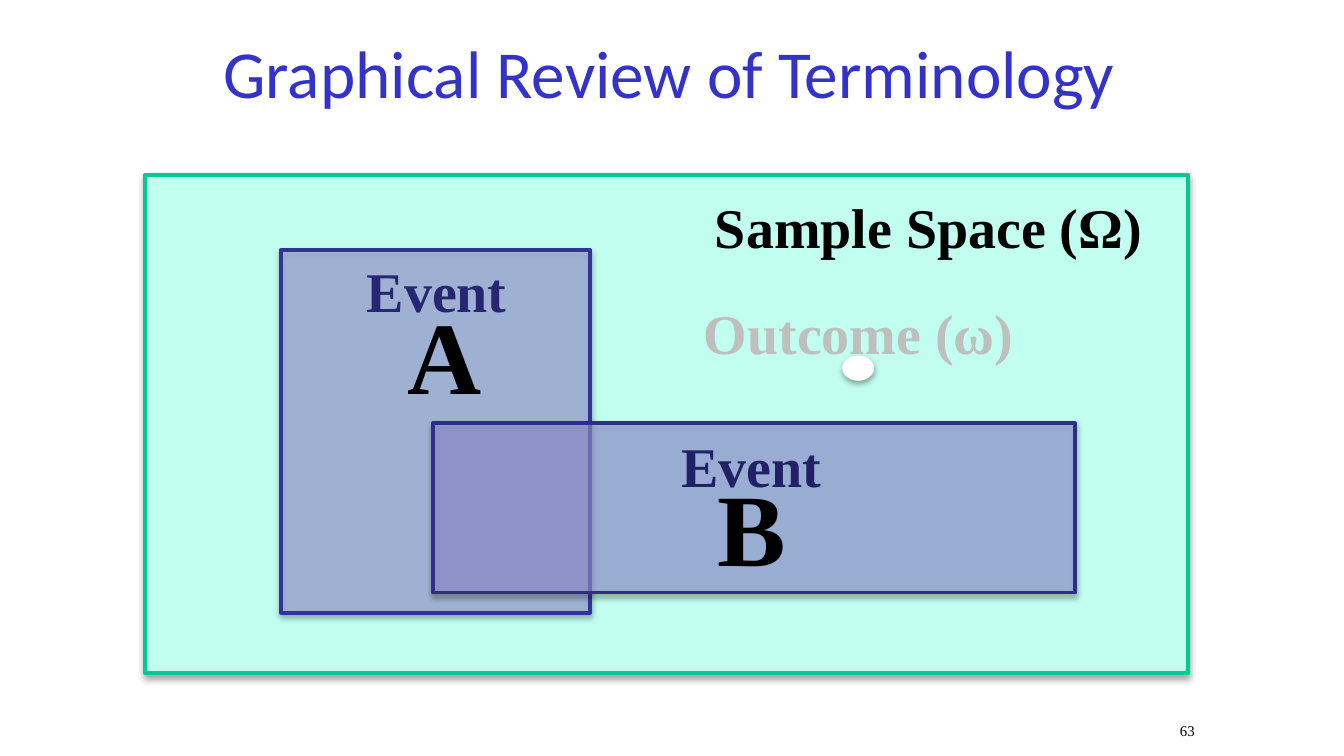
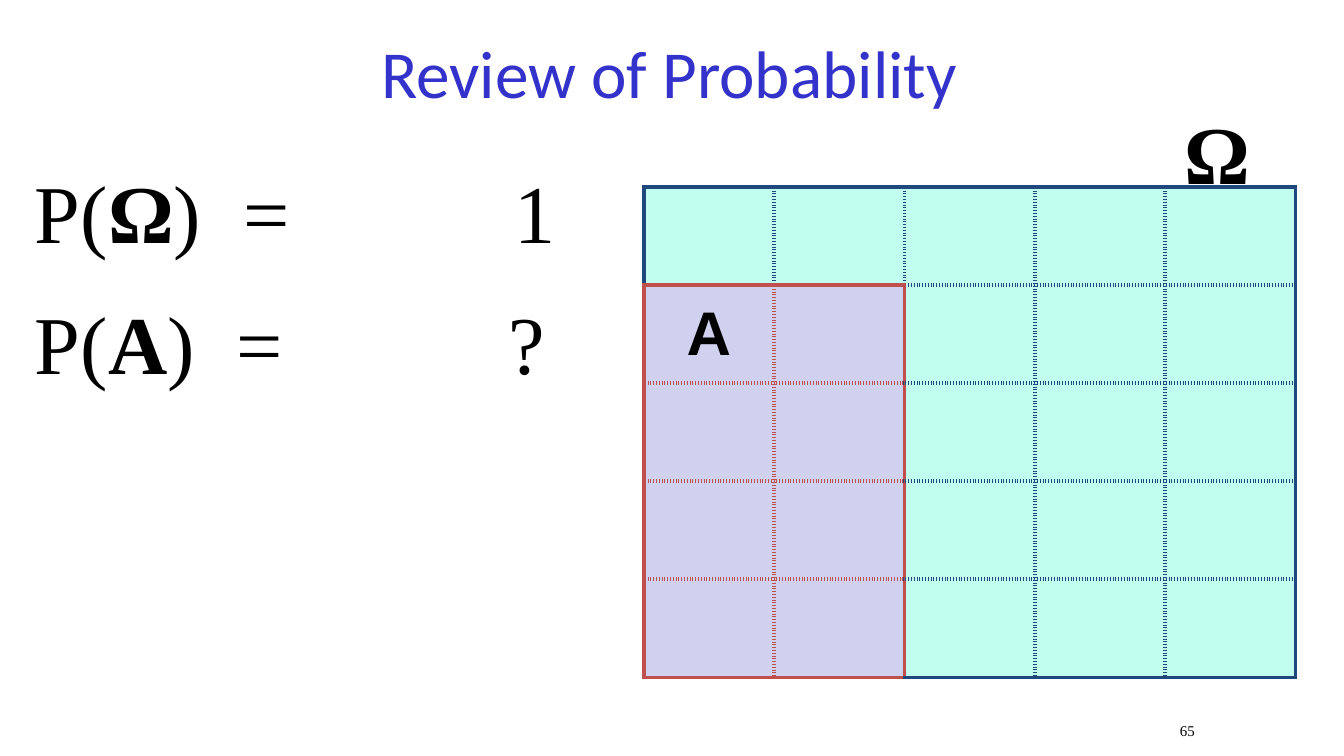
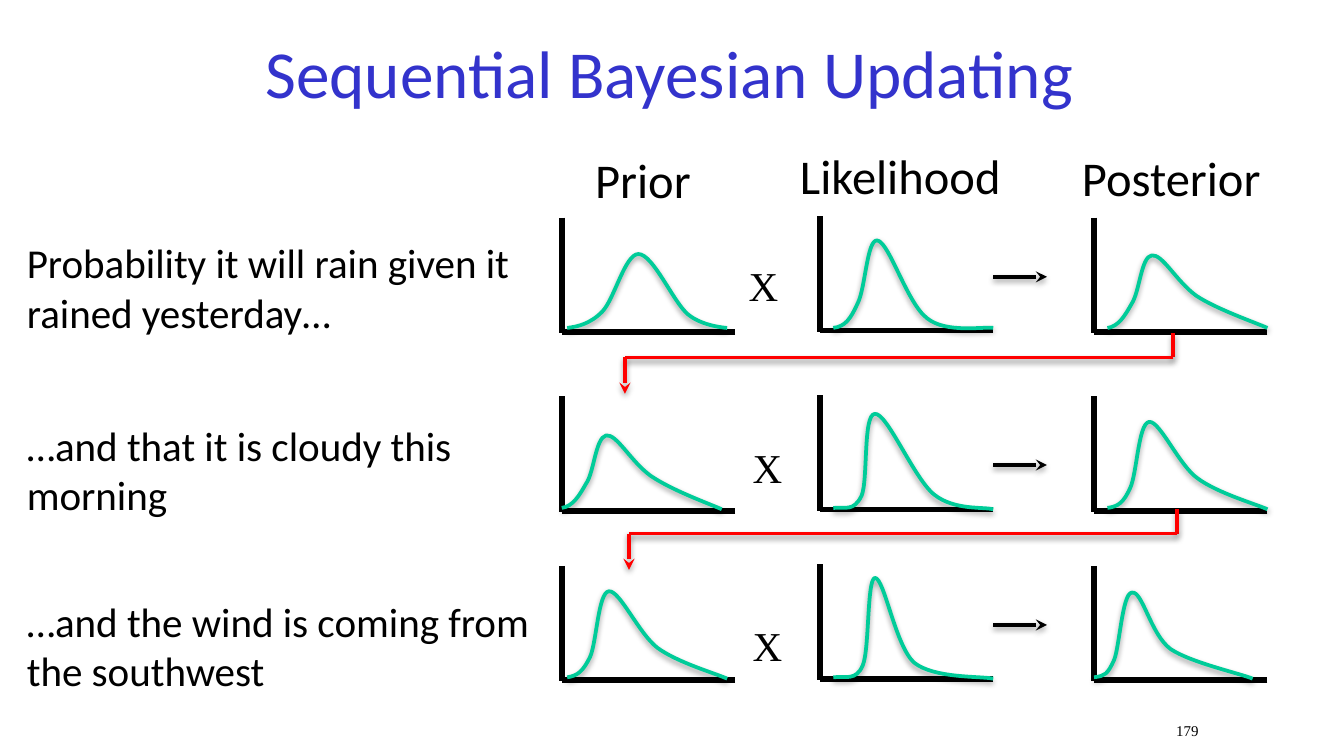
from lxml.etree import SubElement
from pptx import Presentation
from pptx.dml.color import RGBColor
from pptx.enum.shapes import MSO_CONNECTOR, MSO_SHAPE
from pptx.enum.text import MSO_ANCHOR, PP_ALIGN
from pptx.oxml.ns import qn
from pptx.util import Emu, Pt

PX = 9144  # one hundredth of an inch
SERIF, SANS, LABEL = "Times New Roman", "Calibri", "Arial"
BLACK, WHITE, RED = "000000", "FFFFFF", "FF0000"
TITLE_BLUE, MINT, GREEN = "3333CC", "C1FEEF", "00CC99"
GRID_BLUE, EVENT_RED, LAVENDER = "1F497D", "C0504D", "D0D0EF"


def px(length):
    return Emu(length * PX)


def rgb(code):
    return RGBColor.from_string(code)


def add_xml(parent, tag, **attributes):
    return SubElement(parent, qn(tag), {key: str(value) for key, value in attributes.items()})


def write(frame, text, size=22, font=SERIF, color=BLACK, bold=False,
          align=PP_ALIGN.CENTER, tabs=()):
    """Fill a frame with a string, or with (string, bold) pairs."""
    paragraph = frame.paragraphs[0]
    if tabs:
        stops = add_xml(paragraph._p.get_or_add_pPr(), "a:tabLst")
        for stop in tabs:
            add_xml(stops, "a:tab", pos=px(stop), algn="l")
    paragraph.alignment = align
    for words, heavy in [(text, bold)] if isinstance(text, str) else text:
        run = paragraph.add_run()
        run.text = words
        run.font.size, run.font.name, run.font.bold = Pt(size), font, heavy
        run.font.color.rgb = rgb(color)


def outline(shape, color, width):
    shape.line.color.rgb = rgb(color)
    shape.line.width = Pt(width)


def cast_shadow(effects, opacity, distance):
    shadow = add_xml(effects, "a:outerShdw", blurRad=40000, dist=distance,
                     dir=5400000, rotWithShape=0)
    add_xml(add_xml(shadow, "a:srgbClr", val=BLACK), "a:alpha", val=opacity * 1000)


class Deck:
    def __init__(self):
        self.presentation = Presentation()
        self.presentation.slide_width = px(1000)
        self.presentation.slide_height = px(1000) * 9 // 16
        self.slide = None

    def new_slide(self, title, number):
        self.slide = self.presentation.slides.add_slide(self.presentation.slide_layouts[6])
        self.text(title, 75, 0, 850, 106, insets=(4, 4, 8, 4), anchor=MSO_ANCHOR.MIDDLE,
                  size=36, font=SANS, color=TITLE_BLUE)
        self.text(number, 767, 532, 233, 30, size=8)

    def text(self, text, left, top, width, height, insets=(9, 5, 9, 5),
             anchor=MSO_ANCHOR.TOP, **style):
        frame = self.slide.shapes.add_textbox(*map(px, (left, top, width, height))).text_frame
        frame.word_wrap = True
        frame.vertical_anchor = anchor
        (frame.margin_left, frame.margin_top,
         frame.margin_right, frame.margin_bottom) = map(px, insets)
        write(frame, text, **style)

    def region(self, left, top, width, height, fill, edge, opacity=100,
               kind=MSO_SHAPE.RECTANGLE):
        shape = self.slide.shapes.add_shape(kind, *map(px, (left, top, width, height)))
        shape.fill.solid()
        shape.fill.fore_color.rgb = rgb(fill)
        properties = shape._element.spPr
        if opacity < 100:
            tint = properties.find(qn("a:solidFill") + "/" + qn("a:srgbClr"))
            add_xml(tint, "a:alpha", val=opacity * 1000)
        outline(shape, edge, 2)
        shape.shadow.inherit = False
        cast_shadow(properties.find(qn("a:effectLst")), 35, 23000)

    def line(self, start, end, color=BLACK, width=2, arrow=False, shadow=True):
        connector = self.slide.shapes.add_connector(
            MSO_CONNECTOR.STRAIGHT, *map(px, (*start, *end)))
        outline(connector, color, width)
        properties = connector._element.spPr
        if arrow:
            add_xml(properties.find(qn("a:ln")), "a:tailEnd", type="stealth")
        effects = add_xml(properties, "a:effectLst")
        if shadow:
            cast_shadow(effects, 38, 20000)

    def curve(self, start, *points):
        """Draw Bézier segments, three points to each."""
        builder = self.slide.shapes.build_freeform(*start, scale=PX)
        builder.add_line_segments(points, close=False)
        shape = builder.convert_to_shape()
        properties = shape._element.spPr
        outline_path = properties.find(".//" + qn("a:path"))
        corners = outline_path.findall(qn("a:lnTo"))
        for first in range(0, len(corners), 3):
            bend = add_xml(outline_path, "a:cubicBezTo")
            for corner in corners[first:first + 3]:
                bend.append(corner[0])
                outline_path.remove(corner)
        shape.fill.background()
        outline(shape, GREEN, 2)
        shape.shadow.inherit = False
        cast_shadow(properties.find(qn("a:effectLst")), 38, 20000)

    def event_grid(self, left, top, size, cell_width, cell_height, in_event):
        """Draw a square grid, solid around its rim and around the event."""
        grid = self.slide.shapes.add_table(
            size, size, *map(px, (left, top, size * cell_width, size * cell_height))).table
        for column in grid.columns:
            column.width = px(cell_width)
        for row in grid.rows:
            row.height = px(cell_height)
        sides = {"a:lnL": (0, -1), "a:lnR": (0, 1), "a:lnT": (-1, 0), "a:lnB": (1, 0)}
        for r in range(size):
            for c in range(size):
                cell = grid.cell(r, c)
                inside = in_event(r, c)
                properties = cell._tc.get_or_add_tcPr()
                for tag, (down, right) in sides.items():
                    near = r + down, c + right
                    on_grid = all(0 <= place < size for place in near)
                    near_inside = on_grid and in_event(*near)
                    border = add_xml(properties, tag, w=Pt(2.25))
                    add_xml(add_xml(border, "a:solidFill"), "a:srgbClr",
                            val=EVENT_RED if inside or near_inside else GRID_BLUE)
                    solid = not on_grid or inside != near_inside
                    add_xml(border, "a:prstDash", val="solid" if solid else "dot")
                cell.fill.solid()
                cell.fill.fore_color.rgb = rgb(LAVENDER if inside else MINT)
        return grid


def terminology(deck):
    deck.new_slide("Graphical Review of Terminology", "63")
    heading = dict(size=30, bold=True)
    letter = dict(size=55, bold=True)
    deck.region(108, 130, 776, 371, MINT, "00CB97")
    deck.text("Sample Space (Ω)", 502, 138, 378, 48, **heading)
    deck.region(209, 186, 230, 270, "A2A2E0", "333399", opacity=60)
    deck.text("Event", 222, 186, 206, 48, color="262672", **heading)
    deck.region(322, 315, 478, 126, "9A9ADF", "2D2D8A", opacity=60)
    deck.region(628, 266, 21, 16, WHITE, WHITE, kind=MSO_SHAPE.OVAL)
    deck.text("Outcome (ω)", 479, 217, 320, 48, color="BFBFBF", **heading)
    deck.text("A", 283, 212, 95, 83, **letter)
    deck.text("Event", 456, 316, 206, 48, color="212167", **heading)
    deck.text("B", 512, 340, 95, 83, **letter)


def probability(deck):
    deck.new_slide("Review of Probability", "65")
    deck.text("Ω", 862, 71, 88, 68, size=44, bold=True)
    grid = deck.event_grid(479, 139, 5, 97, 73, lambda r, c: r >= 1 and c < 2)
    event = grid.cell(1, 0)
    event.vertical_anchor = MSO_ANCHOR.MIDDLE
    event.margin_top = event.margin_bottom = px(4)
    write(event.text_frame, "A", size=33, font=LABEL, bold=True)
    for top, name, value, tabs in ((115, "Ω", "1", (155, 357)), (213, "A", "?", (150, 352))):
        deck.text([("P(", False), (name, True), (f")\t=\t{value}", False)],
                  17, top, 471, 68, size=44, align=PP_ALIGN.LEFT, tabs=tabs)


# One row per update: prior, likelihood, posterior
DENSITIES = (
    (((422, 244), (430, 243), (439, 241), (448, 232), (457, 223), (465, 189), (475, 189),
      (486, 189), (501, 225), (512, 234), (523, 243), (541, 244), (541, 244)),
     ((620, 244), (629, 243), (633, 237), (638, 226), (644, 215), (645, 177), (653, 179),
      (662, 181), (675, 226), (690, 237), (704, 248), (731, 243), (739, 244)),
     ((824, 244), (832, 243), (837, 235), (842, 226), (848, 217), (849, 191), (857, 190),
      (865, 189), (875, 209), (890, 220), (905, 230), (934, 240), (943, 244))),
    (((418, 378), (426, 377), (431, 369), (436, 360), (442, 352), (443, 326), (451, 324),
      (459, 323), (469, 343), (484, 354), (500, 365), (528, 375), (537, 379)),
     ((620, 378), (629, 377), (635, 381), (641, 369), (646, 358), (642, 308), (651, 308),
      (660, 307), (680, 356), (695, 368), (710, 380), (732, 377), (739, 379)),
     ((824, 378), (832, 377), (836, 374), (841, 363), (846, 352), (847, 315), (855, 314),
      (863, 313), (877, 346), (891, 356), (906, 367), (934, 375), (943, 379))),
    (((422, 504), (430, 503), (434, 499), (439, 489), (444, 478), (445, 441), (453, 440),
      (461, 439), (475, 471), (489, 482), (504, 493), (532, 501), (541, 505)),
     ((620, 504), (629, 503), (637, 507), (642, 495), (647, 483), (645, 431), (651, 430),
      (658, 430), (666, 480), (680, 493), (695, 505), (729, 503), (739, 505)),
     ((814, 504), (822, 503), (824, 502), (829, 491), (833, 481), (835, 442), (842, 441),
      (850, 439), (856, 472), (871, 483), (886, 493), (922, 501), (932, 505))),
)


def bayesian_updating(deck):
    deck.new_slide("Sequential Bayesian Updating", "179")
    for base in (247, 380, 506):
        for left, floor in ((418, base), (610, base - 1), (814, base)):
            deck.line((left, floor - 85), (left, floor + 1), width=3, shadow=False)
            deck.line((left + 129, floor), (left, floor), width=3, shadow=False)
    for update in DENSITIES:
        for density in update:
            deck.curve(*density)

    for name, left, top, width in (("Prior", 410, 107, 137), ("Likelihood", 571, 104, 198),
                                   ("Posterior", 779, 105, 185)):
        deck.text(name, left, top, width, 43, size=26, font=SANS)

    evidence = (
        ("Probability it will rain given it rained yesterday…", 172, 544, 189, 206),
        ("…and that it is cloudy this morning", 308, 547, 324, 346),
        ("…and the wind is coming from the southwest", 439, 547, 457, 465),
    )
    for words, top, times_left, times_top, arrow_y in evidence:
        deck.text(words, 11, top, 394, 68, font=SANS, align=PP_ALIGN.LEFT)
        deck.text("X", times_left, times_top, 48, 38)
        deck.line((739, arrow_y), (779, arrow_y), arrow=True)

    for posterior, prior, top in ((873, 465, 248), (876, 468, 379)):
        turn = top + 18
        route = ((posterior, top), (posterior, turn), (prior, turn), (prior, turn + 27))
        for start, end in zip(route, route[1:]):
            deck.line(start, end, color=RED, arrow=end == route[-1])


def main():
    deck = Deck()
    terminology(deck)
    probability(deck)
    bayesian_updating(deck)
    deck.presentation.save("out.pptx")


if __name__ == "__main__":
    main()
